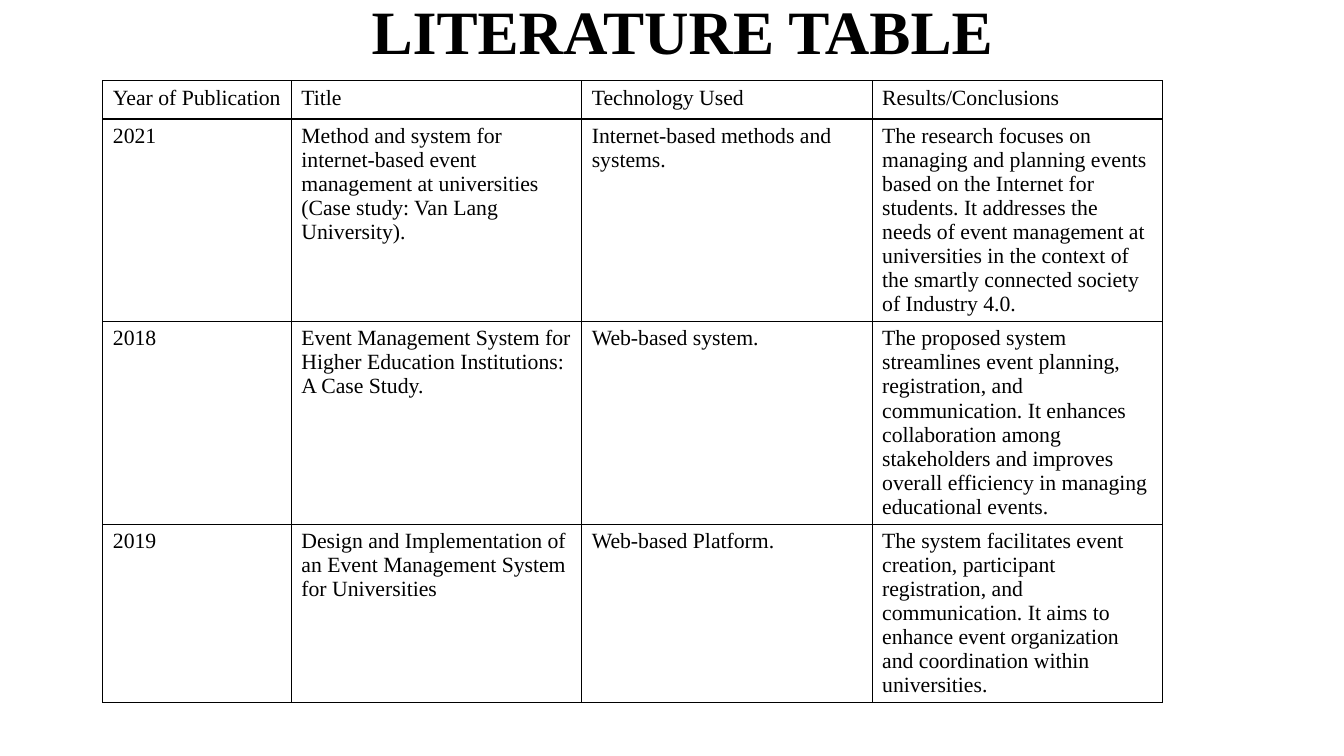
import dataclasses

import pptx
import pptx.dml.color
import pptx.enum.text
import pptx.oxml
import pptx.oxml.ns
import pptx.util


@dataclasses.dataclass(frozen=True)
class Theme:
    font: str = "Times New Roman"
    ink: pptx.dml.color.RGBColor = pptx.dml.color.RGBColor(0, 0, 0)
    title_size: float = 44
    cell_size: float = 15.5
    border_width: float = 1


THEME = Theme()
PAGE_WIDTH = pptx.util.Inches(13.33)
PAGE_HEIGHT = pptx.util.Inches(7.5)

# Shares of the page width and height
LEFT = 1.02 / 13.33
TITLE_BOX = (LEFT, -0.21 / 7.5, 11.5 / 13.33, 1.1 / 7.5)
TABLE_TOP = 0.8 / 7.5
COLUMN_SHARES = [1.87 / 13.33] + [2.88 / 13.33] * 3
ROW_SHARES = [0.38 / 7.5, 2.01 / 7.5, 2.01 / 7.5, 1.77 / 7.5]

LITERATURE = [
    ("Year of Publication", "Title", "Technology Used", "Results/Conclusions"),
    ("2021",
     "Method and system for internet-based event management at universities "
     "(Case study: Van Lang University).",
     "Internet-based methods and systems.",
     "The research focuses on managing and planning events based on the Internet "
     "for students. It addresses the needs of event management at universities in "
     "the context of the smartly connected society of Industry 4.0."),
    ("2018",
     "Event Management System for Higher Education Institutions: A Case Study.",
     "Web-based system.",
     "The proposed system streamlines event planning, registration, and "
     "communication. It enhances collaboration among stakeholders and improves "
     "overall efficiency in managing educational events."),
    ("2019",
     "Design and Implementation of an Event Management System for Universities",
     "Web-based Platform.",
     "The system facilitates event creation, participant registration, and "
     "communication. It aims to enhance event organization and coordination "
     "within universities."),
]


def across(share):
    return round(PAGE_WIDTH * share)


def down(share):
    return round(PAGE_HEIGHT * share)


def style_paragraph(para, size, bold=False):
    para.font.name = THEME.font
    para.font.size = pptx.util.Pt(size)
    para.font.bold = bold
    para.font.color.rgb = THEME.ink


def add_title(page, text):
    title = page.shapes.title
    left, top, width, height = TITLE_BOX
    title.left, title.top = across(left), down(top)
    title.width, title.height = across(width), down(height)
    frame = title.text_frame
    frame.text = text
    frame.vertical_anchor = pptx.enum.text.MSO_ANCHOR.MIDDLE
    para = frame.paragraphs[0]
    para.alignment = pptx.enum.text.PP_ALIGN.CENTER
    para.line_spacing = 0.9
    style_paragraph(para, THEME.title_size, bold=True)


def add_borders(cell):
    properties = cell._tc.get_or_add_tcPr()
    width = pptx.util.Pt(THEME.border_width)
    namespace = pptx.oxml.ns.nsdecls("a")
    # Border lines come before the fill in the cell properties
    for position, side in enumerate(("lnL", "lnR", "lnT", "lnB")):
        properties.insert(position, pptx.oxml.parse_xml(
            f'<a:{side} {namespace} w="{width}"><a:solidFill>'
            f'<a:srgbClr val="{THEME.ink}"/></a:solidFill></a:{side}>'))


def add_table(page, rows):
    frame = page.shapes.add_table(
        len(rows), len(COLUMN_SHARES), across(LEFT), down(TABLE_TOP),
        across(sum(COLUMN_SHARES)), down(sum(ROW_SHARES)))
    table = frame.table
    table.first_row = table.horz_banding = False
    for column, share in zip(table.columns, COLUMN_SHARES):
        column.width = across(share)
    for row, share, texts in zip(table.rows, ROW_SHARES, rows):
        row.height = down(share)
        for cell, text in zip(row.cells, texts):
            cell.text = text
            cell.fill.background()
            style_paragraph(cell.text_frame.paragraphs[0], THEME.cell_size)
            add_borders(cell)


def main():
    deck = pptx.Presentation()
    deck.slide_width, deck.slide_height = PAGE_WIDTH, PAGE_HEIGHT
    # Title Only layout
    page = deck.slides.add_slide(deck.slide_layouts[5])
    add_title(page, "LITERATURE TABLE")
    add_table(page, LITERATURE)
    deck.save("out.pptx")


if __name__ == "__main__":
    main()
